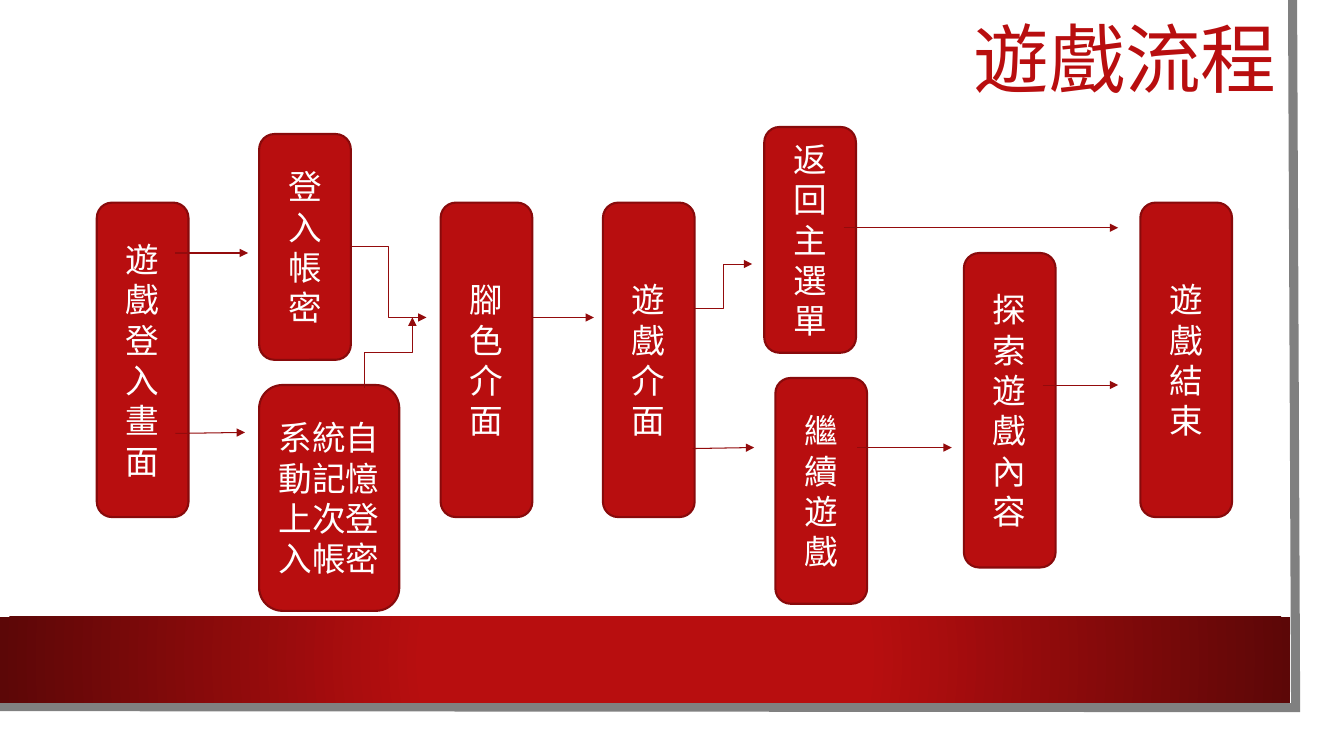
from dataclasses import dataclass

from lxml import etree
from pptx import Presentation
from pptx.dml.color import RGBColor
from pptx.enum.shapes import MSO_CONNECTOR as Connector, MSO_SHAPE as Preset
from pptx.enum.text import MSO_ANCHOR as Anchor, PP_ALIGN as Align
from pptx.oxml import parse_xml
from pptx.oxml.ns import nsdecls, qn
from pptx.util import Inches, Pt


@dataclass(frozen=True)
class Theme:
    red: str = "B80E0F"
    dark_red: str = "5C0707"
    box_line: str = "880A0B"
    arrow: str = "930B0C"
    frame: str = "808080"
    white: str = "FFFFFF"
    title_font: str = "Noto Sans CJK SC"
    box_font: str = "Roboto Condensed"
    title_size: float = 54
    box_size: float = 24


THEME = Theme()
BOX_WIDTH, TALL, SHORT = 0.91, 3.12, 2.24

BOXES = [
    ("遊戲登入畫面", 0.96, 2.01, BOX_WIDTH, TALL),
    ("腳色介面", 4.37, 2.01, BOX_WIDTH, TALL),
    ("遊戲介面", 5.98, 2.01, BOX_WIDTH, TALL),
    ("返回主選單", 7.58, 1.26, BOX_WIDTH, SHORT),
    ("繼續遊戲", 7.69, 3.75, BOX_WIDTH, SHORT),
    ("登入帳密", 2.57, 1.33, BOX_WIDTH, SHORT),
    ("系統自動記憶上次登入帳密", 2.57, 3.82, 1.39, SHORT),
    ("探索遊戲內容", 9.56, 2.51, BOX_WIDTH, TALL),
    ("遊戲結束", 11.31, 2.01, BOX_WIDTH, TALL),
]

STRAIGHT_ARROWS = [
    ((1.74, 2.51), (2.46, 2.51)),
    ((1.74, 4.3), (2.43, 4.29)),
    ((5.29, 3.15), (5.89, 3.15)),
    ((6.87, 4.45), (7.48, 4.44)),
    ((8.37, 2.26), (11.09, 2.26)),
    ((8.5, 4.44), (9.44, 4.44)),
    ((10.34, 3.82), (11.09, 3.82)),
]


def rgb(color):
    return RGBColor.from_string(color)


def add_text(frame, text, font, size, color):
    frame.word_wrap = True
    frame.vertical_anchor = Anchor.MIDDLE
    paragraph = frame.paragraphs[0]
    run = paragraph.add_run()
    run.text = text
    run.font.name = font
    run.font.size = Pt(size)
    run.font.color.rgb = rgb(color)
    east_asian = etree.SubElement(run.font._element, qn("a:ea"))
    east_asian.set("typeface", font)
    return paragraph


def add_plain_shape(slide, preset, left, top, width, height, fill):
    shape = slide.shapes.add_shape(
        preset, Inches(left), Inches(top), Inches(width), Inches(height))
    shape.shadow.inherit = False
    shape.fill.solid()
    shape.fill.fore_color.rgb = rgb(fill)
    shape.line.fill.background()
    return shape


def add_frame(slide):
    add_plain_shape(slide, Preset.RECTANGLE, 0, 0, 13.1, 7.27, THEME.white)
    builder = slide.shapes.build_freeform(Inches(12.82), 0)
    corners = [(12.85, 7.02), (-0.03, 7.01)]
    builder.add_line_segments([(Inches(x), Inches(y)) for x, y in corners], close=False)
    edge = builder.convert_to_shape()
    edge.shadow.inherit = False
    edge.fill.background()
    edge.line.color.rgb = rgb(THEME.frame)
    edge.line.width = Pt(6.5)
    etree.SubElement(edge.line._get_or_add_ln(), qn("a:miter")).set("lim", "800000")


def add_band(slide):
    band = add_plain_shape(slide, Preset.RECTANGLE, 0, 6.12, 12.8, 0.85, THEME.red)
    gradient = parse_xml(
        f'<a:gradFill {nsdecls("a")} rotWithShape="1"><a:gsLst>'
        f'<a:gs pos="34000"><a:srgbClr val="{THEME.red}"/></a:gs>'
        f'<a:gs pos="100000"><a:srgbClr val="{THEME.dark_red}"/></a:gs></a:gsLst>'
        '<a:path path="circle"><a:fillToRect l="50000" t="50000" r="50000" b="50000"/>'
        '</a:path></a:gradFill>')
    properties = band._element.spPr
    properties.replace(properties.find(qn("a:solidFill")), gradient)


def add_title(slide, text):
    box = slide.shapes.add_textbox(Inches(9.56), 0, Inches(3.32), Inches(1.26))
    paragraph = add_text(
        box.text_frame, text, THEME.title_font, THEME.title_size, THEME.red)
    paragraph.line_spacing = 0.9


def add_box(slide, text, left, top, width, height):
    box = add_plain_shape(
        slide, Preset.ROUNDED_RECTANGLE, left, top, width, height, THEME.red)
    box.line.color.rgb = rgb(THEME.box_line)
    box.line.width = Pt(1.5)
    paragraph = add_text(
        box.text_frame, text, THEME.box_font, THEME.box_size, THEME.white)
    paragraph.alignment = Align.CENTER
    return box


def add_arrow(slide, start, end, kind=Connector.STRAIGHT):
    points = [Inches(value) for value in (*start, *end)]
    arrow = slide.shapes.add_connector(kind, *points)
    arrow.line.color.rgb = rgb(THEME.arrow)
    arrow.line.width = Pt(0.75)
    etree.SubElement(arrow.line._get_or_add_ln(), qn("a:tailEnd")).set("type", "triangle")
    etree.SubElement(arrow._element.spPr, qn("a:effectLst"))
    return arrow


def add_upright_elbow(slide, start, end):
    center_x, center_y = (start[0] + end[0]) / 2, (start[1] + end[1]) / 2
    half_x, half_y = (end[1] - start[1]) / 2, (start[0] - end[0]) / 2
    arrow = add_arrow(
        slide, (center_x - half_x, center_y - half_y),
        (center_x + half_x, center_y + half_y), Connector.ELBOW)
    arrow._element.spPr.find(qn("a:xfrm")).set("rot", "5400000")


def main():
    presentation = Presentation()
    presentation.slide_width = Inches(13.33)
    presentation.slide_height = Inches(7.5)
    slide = presentation.slides.add_slide(presentation.slide_layouts[6])

    add_frame(slide)
    add_band(slide)
    add_title(slide, "遊戲流程")
    boxes = {box[0]: add_box(slide, *box) for box in BOXES}

    for start, end in STRAIGHT_ARROWS:
        add_arrow(slide, start, end)
    login_arrow = add_arrow(slide, (3.48, 2.45), (4.23, 3.15), Connector.ELBOW)
    login_arrow.begin_connect(boxes["登入帳密"], 3)
    add_upright_elbow(slide, (3.62, 3.85), (4.09, 3.15))
    add_arrow(slide, (6.89, 3.06), (7.46, 2.62), Connector.ELBOW)

    presentation.save("out.pptx")


if __name__ == "__main__":
    main()
